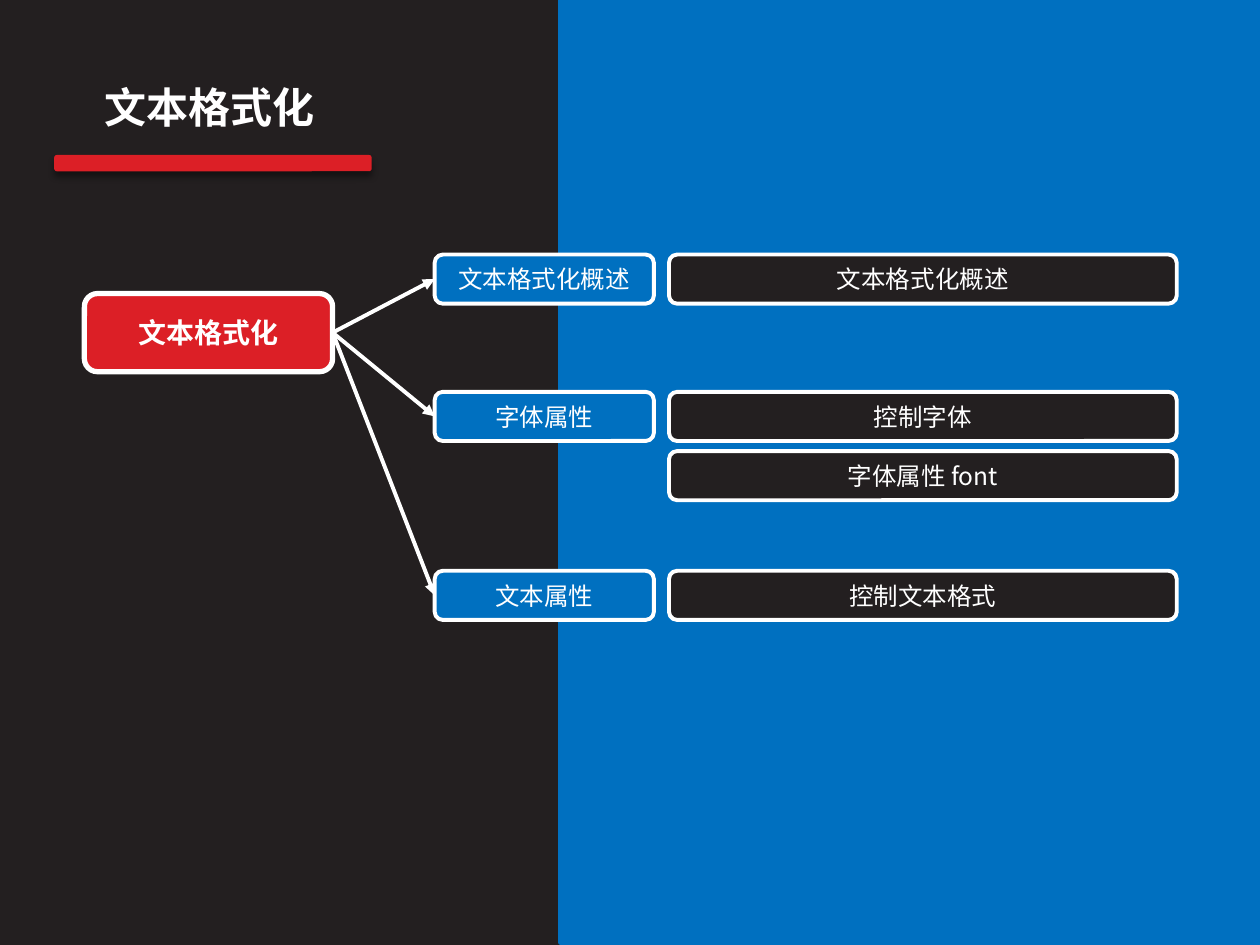
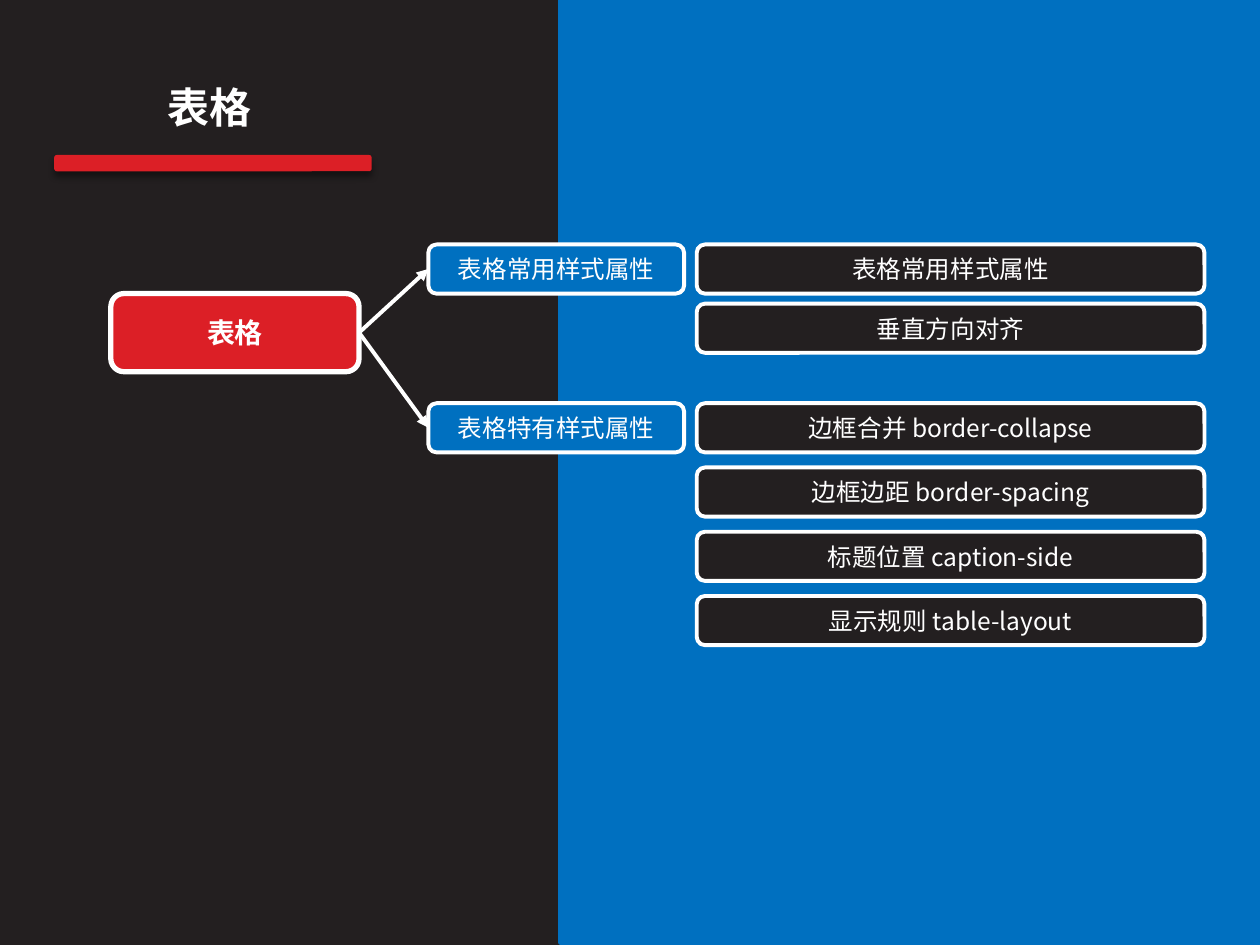
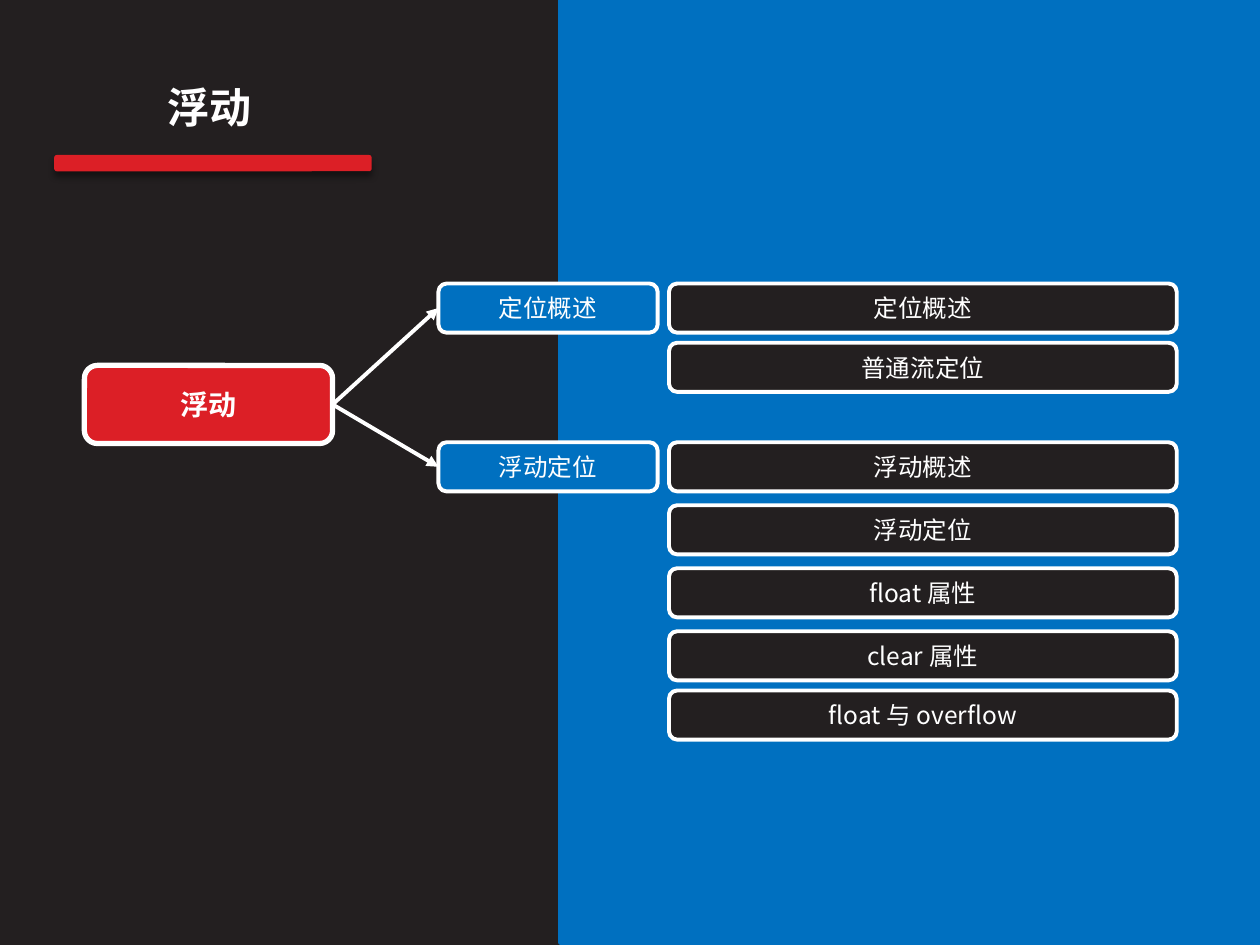
from dataclasses import dataclass

from lxml import etree
from pptx import Presentation
from pptx.dml.color import RGBColor
from pptx.enum.shapes import MSO_CONNECTOR, MSO_SHAPE
from pptx.enum.text import MSO_ANCHOR, PP_ALIGN
from pptx.oxml.ns import qn
from pptx.util import Inches, Length, Pt

RECT, ROUNDED = MSO_SHAPE.RECTANGLE, MSO_SHAPE.ROUNDED_RECTANGLE
STRAIGHT = MSO_CONNECTOR.STRAIGHT
CENTER = PP_ALIGN.CENTER
TOP, MIDDLE = MSO_ANCHOR.TOP, MSO_ANCHOR.MIDDLE
LEFT_SITE, RIGHT_SITE = 1, 3
TITLE_ONLY = 5

# The grid has 100 columns and 75 rows of square cells
WIDTH, HEIGHT = Inches(10), Inches(7.5)
COLUMNS = 100
ROOT_W, ROOT_H = 19.7, 6.2
ITEM_W, ITEM_H = 40.3, 3.9


@dataclass(frozen=True)
class Theme:
    dark: RGBColor = RGBColor(0x23, 0x1F, 0x20)
    blue: RGBColor = RGBColor(0x00, 0x70, 0xC0)
    red: RGBColor = RGBColor(0xDC, 0x1F, 0x26)
    white: RGBColor = RGBColor(0xFF, 0xFF, 0xFF)
    font: str = "Noto Sans CJK SC"
    title: Length = Pt(24)
    root: Length = Pt(16)
    body: Length = Pt(14)
    thick: Length = Pt(3)
    thin: Length = Pt(2.25)


THEME = Theme()


@dataclass(frozen=True)
class Box:
    """A place on the grid, in columns and rows."""
    left: float
    top: float
    width: float
    height: float

    def lengths(self) -> list[Length]:
        return [Length(round(n * WIDTH / COLUMNS))
                for n in (self.left, self.top, self.width, self.height)]


@dataclass(frozen=True)
class Branch:
    """A topic and its items; without a label the items go on from the last topic."""
    top: float
    label: str
    items: tuple[str, ...]
    pitch: float = 4.7


@dataclass(frozen=True)
class Chapter:
    title: str
    root_left: float
    root_top: float
    label_left: float
    label_width: float
    item_left: float
    branches: tuple[Branch, ...]


CHAPTERS = (
    Chapter("文本格式化", 6.7, 23.3, 34.5, 17.4, 53.1, (
        Branch(20.2, "文本格式化概述", ("文本格式化概述",)),
        Branch(31.1, "字体属性", ("控制字体", "字体属性 font")),
        Branch(45.3, "文本属性", ("控制文本格式",)),
    )),
    Chapter("表格", 8.8, 23.3, 34, 20.3, 55.3, (
        Branch(19.4, "表格常用样式属性", ("表格常用样式属性", "垂直方向对齐")),
        Branch(32, "表格特有样式属性",
               ("边框合并 border-collapse", "边框边距 border-spacing",
                "标题位置 caption-side", "显示规则 table-layout"), 5.1),
    )),
    Chapter("浮动", 6.7, 29, 34.8, 17.4, 53.1, (
        Branch(22.5, "定位概述", ("定位概述", "普通流定位")),
        Branch(35.1, "浮动定位",
               ("浮动概述", "浮动定位", "float 属性", "clear 属性"), 5),
        Branch(54.8, "", ("float 与 overflow",)),
    )),
)


def write(tf, text: str, size: Length, bold: bool, anchor) -> None:
    """Put one centred white line into a text frame."""
    tf.word_wrap, tf.vertical_anchor = True, anchor
    p = tf.paragraphs[0]
    p.alignment = CENTER
    r = p.add_run()
    r.text = text
    for name, value in {"name": THEME.font, "size": size, "bold": bold}.items():
        setattr(r.font, name, value)
    r.font.color.rgb = THEME.white
    # East Asian glyphs take their own typeface entry
    etree.SubElement(r.font._element, qn("a:ea"), typeface=THEME.font)


def add_block(s, kind, box: Box, fill: RGBColor, line: RGBColor | None = None,
              weight: Length = THEME.thin):
    sp = s.shapes.add_shape(kind, *box.lengths())
    sp.shadow.inherit = False
    sp.fill.solid()
    sp.fill.fore_color.rgb = fill
    if line is None:
        sp.line.fill.background()
    else:
        sp.line.color.rgb = line
        sp.line.width = weight
    return sp


def add_node(s, box: Box, text: str, fill: RGBColor, root: bool = False):
    sp = add_block(s, ROUNDED, box, fill, THEME.white,
                   THEME.thick if root else THEME.thin)
    write(sp.text_frame, text, THEME.root if root else THEME.body, root, MIDDLE)
    return sp


def add_arrow(s, start, end) -> None:
    """Join the right side of one node to the left side of another."""
    c = s.shapes.add_connector(STRAIGHT, 0, 0, 0, 0)
    c.begin_connect(start, RIGHT_SITE)
    c.end_connect(end, LEFT_SITE)
    c.line.color.rgb = THEME.white
    c.line.width = THEME.thin
    etree.SubElement(c.line._get_or_add_ln(), qn("a:tailEnd"), type="triangle")
    etree.SubElement(c.element.spPr, qn("a:effectLst"))


def add_title(s, text: str) -> None:
    sp = s.shapes.title
    place = zip(("left", "top", "width", "height"), Box(2.8, 6, 27.7, 7.1).lengths())
    for name, value in place:
        setattr(sp, name, value)
    write(sp.text_frame, text, THEME.title, True, TOP)
    # Red rule with a soft shadow below
    rule = add_block(s, ROUNDED, Box(4.3, 12.3, 25.2, 1.3), THEME.red)
    shadow = etree.SubElement(rule.element.spPr.find(qn("a:effectLst")),
                              qn("a:outerShdw"), blurRad=str(Pt(4)),
                              dist=str(Pt(3)), dir="5400000", rotWithShape="0")
    color = etree.SubElement(shadow, qn("a:srgbClr"), val="000000")
    etree.SubElement(color, qn("a:alpha"), val="43000")


def add_chapter(prs, layout, chapter: Chapter):
    s = prs.slides.add_slide(layout)
    add_title(s, chapter.title)
    root = add_node(s, Box(chapter.root_left, chapter.root_top, ROOT_W, ROOT_H),
                    chapter.title, THEME.red, root=True)
    for branch in chapter.branches:
        if branch.label:
            label = add_node(s, Box(chapter.label_left, branch.top,
                                    chapter.label_width, ITEM_H),
                             branch.label, THEME.blue)
            add_arrow(s, root, label)
        for i, item in enumerate(branch.items):
            top = branch.top + i * branch.pitch
            add_node(s, Box(chapter.item_left, top, ITEM_W, ITEM_H), item, THEME.dark)
    return s


def style_layout(layout, s) -> None:
    """Give the layout its dark ground and the blue band on the right."""
    layout.background.fill.solid()
    layout.background.fill.fore_color.rgb = THEME.dark
    band = add_block(s, RECT, Box(44.5, 0, 55.5, 74.8), THEME.blue,
                     THEME.blue, THEME.thick)
    # Shapes are drawn on a slide, then handed to the layout's tree
    layout.shapes.element.insert(2, band.element)


prs = Presentation()
prs.slide_width, prs.slide_height = WIDTH, HEIGHT
layout = prs.slide_layouts[TITLE_ONLY]
slides = [add_chapter(prs, layout, chapter) for chapter in CHAPTERS]
style_layout(layout, slides[0])
prs.save("out.pptx")
